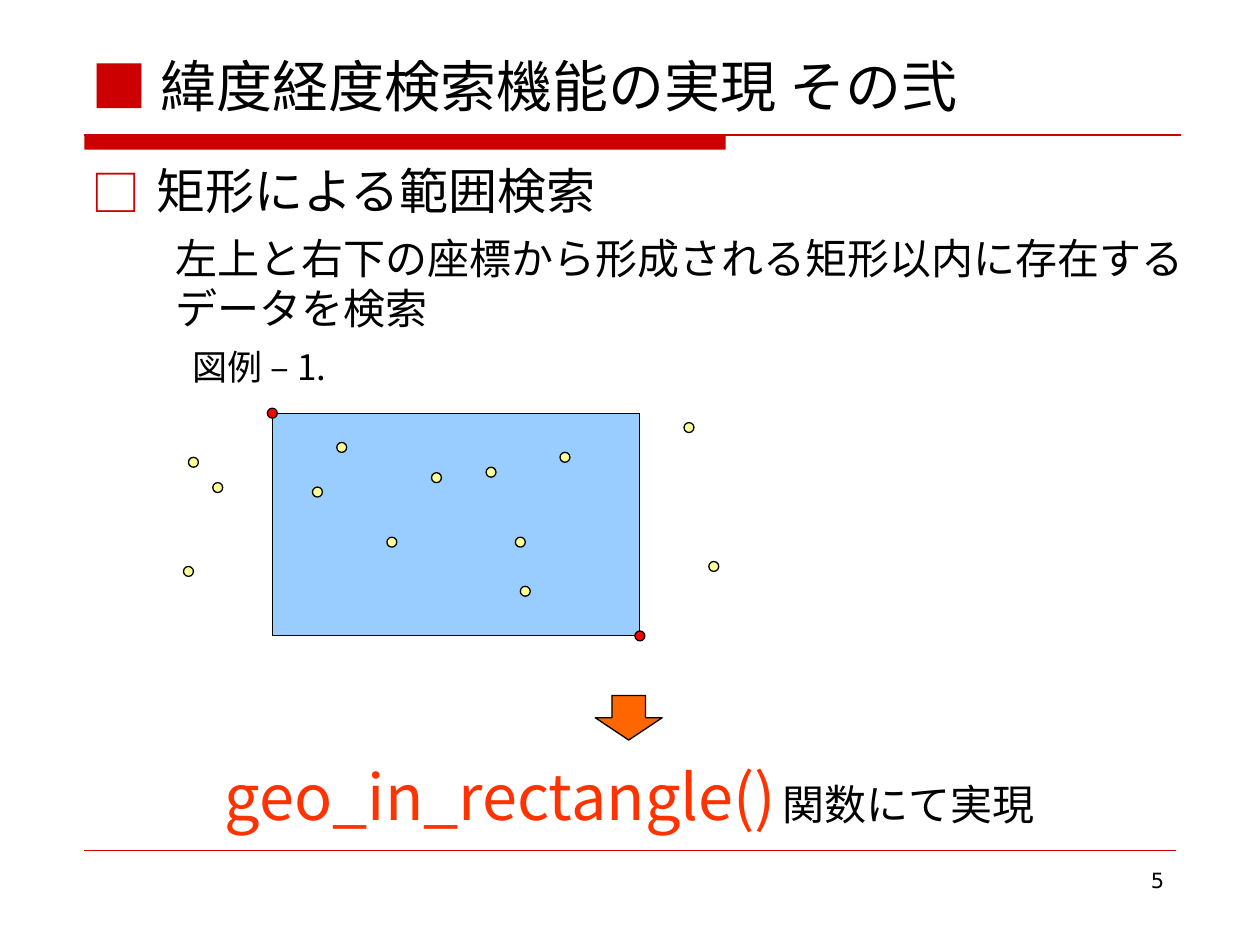
"""Build the slide on rectangular range search by latitude and longitude."""
from lxml import etree
from pptx import Presentation
from pptx import util as u
from pptx.dml.color import RGBColor
from pptx.enum import shapes, text
from pptx.oxml.ns import qn

THEME = {
    "font": "Noto Sans CJK JP", "number_font": "DejaVu Sans",
    "black": "000000", "red": "CC0000", "area": "99CCFF", "corner": "FF0000",
    "point": "FFFF99", "arrow": "FF6600", "function": "FF3300",
    "title": 32, "heading": 28, "text": 24, "label": 20, "function_size": 36,
    "gap": 18, "number": 12, "outline": 0.75, "hairline": 0.25,
}
Kind = shapes.MSO_SHAPE
Align = text.PP_ALIGN


def write(box, place, lines, frame_format, para_format):
    """Place a box and fill it with lines of (words, size, colour, font) spans."""
    box.left, box.top, box.width, box.height = map(u.Cm, place)
    frame = box.text_frame
    frame_values = {
        "auto_size": text.MSO_AUTO_SIZE.NONE, "word_wrap": True,
        "vertical_anchor": text.MSO_ANCHOR.TOP,
        "margin_left": u.Cm(0.25), "margin_right": u.Cm(0.25),
        "margin_top": u.Cm(0.13), "margin_bottom": u.Cm(0.13),
    }
    for name, value in {**frame_values, **frame_format}.items():
        setattr(frame, name, value)
    for index, line in enumerate(lines):
        para = frame.paragraphs[0] if index == 0 else frame.add_paragraph()
        for name, value in {"alignment": Align.LEFT, **para_format}.items():
            setattr(para, name, value)
        for words, size, colour, font in line:
            span = para.add_run()
            span.text = words
            for name, value in {"size": u.Pt(THEME[size]), "name": THEME[font]}.items():
                setattr(span.font, name, value)
            span.font.color.rgb = RGBColor.from_string(THEME[colour])
            east_asian = etree.SubElement(span.font._element, qn("a:ea"))
            east_asian.set("typeface", THEME[font])


def draw(kind, place, fill, outlined=True):
    """Add a filled preset shape with a thin black outline or none."""
    shape = page.shapes.add_shape(kind, *map(u.Cm, place))
    shape.shadow.inherit = False
    shape.fill.solid()
    shape.fill.fore_color.rgb = RGBColor.from_string(THEME[fill])
    if outlined:
        shape.line.color.rgb = RGBColor.from_string(THEME["black"])
        shape.line.width = u.Pt(THEME["outline"])
    else:
        shape.line.fill.background()


deck = Presentation()
deck.slide_width, deck.slide_height = u.Cm(25.4), u.Cm(19.05)
page = deck.slides.add_slide(deck.slide_layouts[1])

draw(Kind.RECTANGLE, (1.7, 2.72, 12.93, 0.3), "red", outlined=False)
for right, height, width in ((23.8, 2.72, "outline"), (23.7, 17.15, "hairline")):
    rule = page.shapes.add_connector(
        shapes.MSO_CONNECTOR.STRAIGHT, u.Cm(1.7), u.Cm(height), u.Cm(right), u.Cm(height))
    rule.line.color.rgb = RGBColor.from_string(THEME["red"])
    rule.line.width = u.Pt(THEME[width])
    etree.SubElement(rule._element.spPr, qn("a:effectLst"))

write(page.shapes.title, (1.6, 0.84, 22.22, 1.68),
      [[("■ ", "title", "red", "font"),
        ("緯度経度検索機能の実現 その弐", "title", "black", "font")]],
      {"vertical_anchor": text.MSO_ANCHOR.BOTTOM}, {})

body = page.placeholders[1]
write(body, (1.6, 3.23, 22.22, 0.89),
      [[("矩形による範囲検索", "heading", "black", "font")]],
      {}, {"line_spacing": 0.9, "space_before": u.Pt(7)})
bullet = body.text_frame.paragraphs[0]._p.get_or_add_pPr()
bullet.set("marL", str(u.Cm(1.3)))
bullet.set("indent", str(u.Cm(-1.3)))
bullet_colour = etree.SubElement(bullet, qn("a:buClr"))
etree.SubElement(bullet_colour, qn("a:srgbClr")).set("val", THEME["red"])
etree.SubElement(bullet, qn("a:buFont")).set("typeface", THEME["font"])
etree.SubElement(bullet, qn("a:buChar")).set("char", "□")

text_boxes = [
    ((3.28, 4.55, 20.83, 2.29),
     [[("左上と右下の座標から形成される矩形以内に存在する", "text", "black", "font")],
      [("データを検索", "text", "black", "font")]], {"word_wrap": False}, Align.LEFT),
    ((3.63, 6.83, 3.38, 1.12),
     [[("図例 – 1.", "label", "black", "font")]], {"word_wrap": False}, Align.LEFT),
    ((0, 15.14, 25.4, 1.78),
     [[("geo_in_rectangle()", "function_size", "function", "font"),
       (" ", "gap", "black", "font"),
       ("関数にて実現", "text", "black", "font")]], {}, Align.CENTER),
    ((18.21, 17.35, 5.51, 1.32),
     [[("5", "number", "black", "number_font")]], {}, Align.RIGHT),
]
for place, lines, frame_format, alignment in text_boxes:
    box = page.shapes.add_textbox(0, 0, 0, 0)
    write(box, place, lines, frame_format, {"alignment": alignment})

left, top, right, bottom = 5.49, 8.33, 12.9, 12.82
draw(Kind.RECTANGLE, (left, top, right - left, bottom - top), "area")
draw(Kind.DOWN_ARROW, (12, 14.02, 1.35, 0.9), "arrow")

dots = {
    "corner": [(left, top), (right, bottom)],
    "point": [
        (6.4, 9.92), (6.89, 9.02), (7.9, 10.93), (8.8, 9.63), (9.9, 9.52),
        (10.49, 10.93), (10.59, 11.92), (11.39, 9.22),
        (3.9, 9.32), (4.39, 9.83), (3.8, 11.52), (13.89, 8.62), (14.39, 11.42),
    ],
}
diameter = 0.2
for colour, centres in dots.items():
    for x, y in centres:
        draw(Kind.OVAL, (x - diameter / 2, y - diameter / 2, diameter, diameter), colour)

deck.save("out.pptx")
